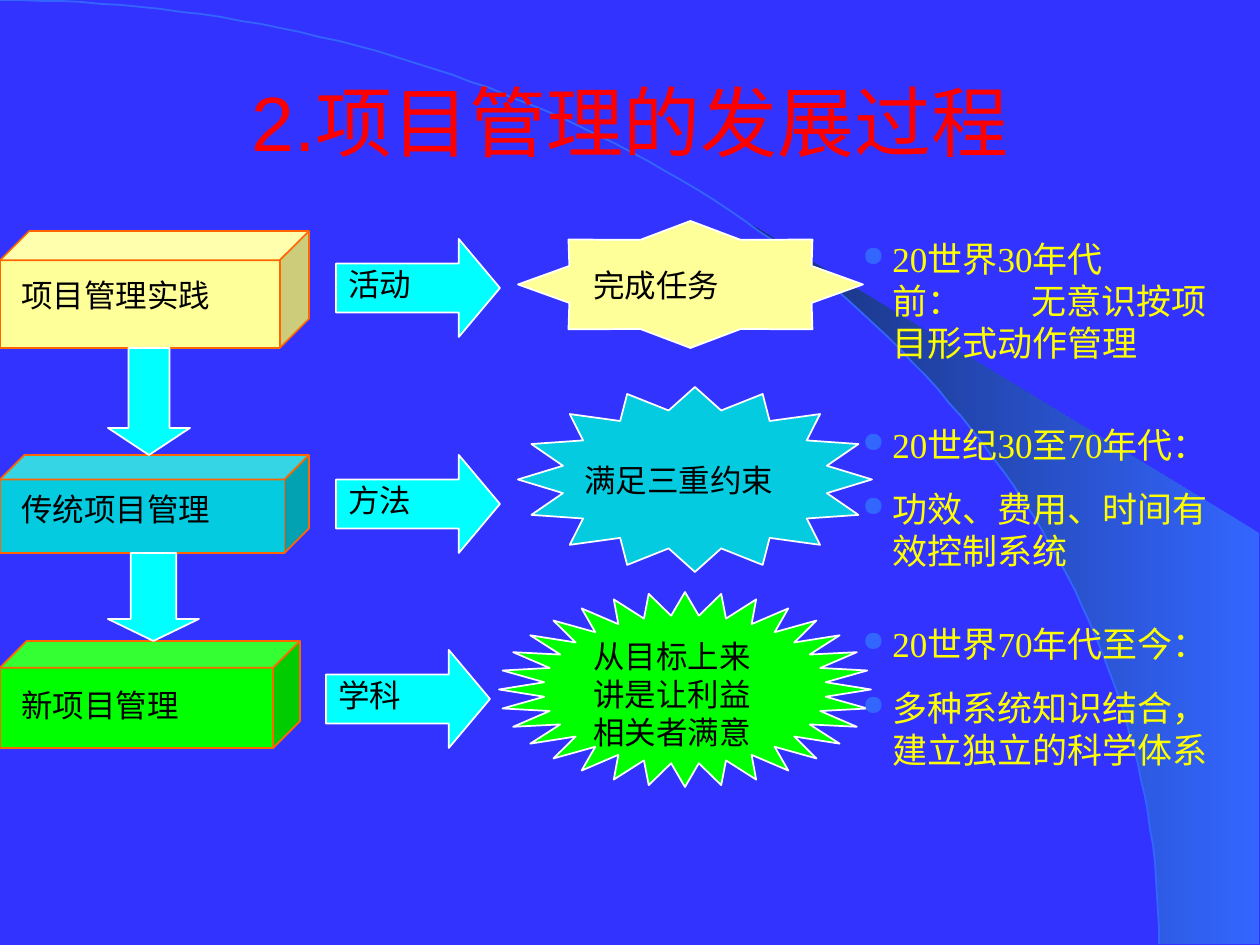
from math import cos, pi, sin

from lxml.etree import SubElement
from pptx import Presentation
from pptx.dml.color import RGBColor
from pptx.enum.shapes import MSO_SHAPE as Shape
from pptx.enum.text import MSO_ANCHOR as Anchor, MSO_AUTO_SIZE as AutoSize, PP_ALIGN as Align
from pptx.oxml.ns import qn
from pptx.util import Pt

PX = 914400 / 126
COLORS = {
    "background": "3333FF", "arc": "3366FF", "shade": "172F75", "title": "FF0000",
    "yellow": "FFFF99", "teal": "04CBE0", "green": "00FF00", "cyan": "00FFFF",
    "edge": "FF6600", "white": "FFFFFF", "black": "000000", "notes": "FFFF00",
}
TITLE = "2.项目管理的发展过程"
LABEL = {"size": 18, "name": "Times New Roman", "color": "black"}
TITLE_FORMAT = {"size": 44, "name": "Arial", "color": "title"}
NOTE = {"size": 20, "name": "Times New Roman", "color": "notes"}

# Boxes are (left, top, width, height) in px
STAGES = [
    {"fill": "yellow", "cube": (0, 231, 309, 117), "name": ("项目管理实践", (9, 270, 263, 50)),
     "arrow": (336, 239), "means": "活动", "star": (Shape.STAR_8_POINT, (518, 221, 345, 127)),
     "goal": ("完成任务", (581, 260, 227, 50))},
    {"fill": "teal", "cube": (0, 455, 309, 98), "name": ("传统项目管理", (9, 484, 263, 50)),
     "arrow": (336, 455), "means": "方法", "star": (Shape.STAR_16_POINT, (518, 387, 354, 185)),
     "goal": ("满足三重约束", (572, 455, 272, 50))},
    {"fill": "green", "cube": (0, 641, 300, 107), "name": ("新项目管理", (9, 680, 263, 50)),
     "arrow": (326, 650), "means": "学科", "star": (Shape.STAR_32_POINT, (499, 592, 372, 195)),
     "goal": ("从目标上来讲是让利益相关者满意", (581, 631, 209, 126))},
]
DOWN_ARROWS = [((108, 348, 82, 107), 0.33), ((108, 553, 91, 88), 0.25)]
# (text, space before in points)
NOTES = [
    ("20世界30年代\v前：\t无意识按项目形式动作管理", 0),
    ("20世纪30至70年代：", 34.3),
    ("功效、费用、时间有效控制系统", 12.5),
    ("20世界70年代至今：", 29.1),
    ("多种系统知识结合，建立独立的科学体系", 12.5),
]
NOTES_BOX = (850, 231, 378, 546)
NOTE_INDENT, NOTE_TAB = 30, 169
ARC_WIDTH, ARC_HEIGHT, ARC_STEPS = 1159, 944, 90
SHADE_START, SHADE_CORNERS = 742, [(1259, 944), (1259, 533)]


def emu(pixels):
    return round(pixels * PX)


def color(name):
    return RGBColor.from_string(COLORS[name])


def set_line(shape, name):
    shape.shadow.inherit = False
    shape.line.color.rgb = color(name)
    shape.line.width = Pt(1)


def add_preset(slide, kind, box, fill, line, adjustments):
    shape = slide.shapes.add_shape(kind, *map(emu, box))
    for index, value in enumerate(adjustments):
        shape.adjustments[index] = value
    shape.fill.solid()
    shape.fill.fore_color.rgb = color(fill)
    set_line(shape, line)


def format_paragraph(paragraph, formats):
    for run in paragraph.runs:
        run.font.size = Pt(formats["size"])
        run.font.name = formats["name"]
        run.font.color.rgb = color(formats["color"])


def add_text(slide, text, box, formats, **frame_formats):
    frame = slide.shapes.add_textbox(*map(emu, box)).text_frame
    frame_formats = {"word_wrap": True, "auto_size": AutoSize.SHAPE_TO_FIT_TEXT, **frame_formats}
    for name, value in frame_formats.items():
        setattr(frame, name, value)
    paragraph = frame.paragraphs[0]
    paragraph.text = text
    format_paragraph(paragraph, formats)
    return frame


def add_bullet(paragraph):
    """Give the paragraph a hanging round bullet and one tab stop."""
    properties = paragraph._p.get_or_add_pPr()
    properties.set("marL", str(emu(NOTE_INDENT)))
    properties.set("indent", str(-emu(NOTE_INDENT)))
    bullet_color = SubElement(properties, qn("a:buClr"))
    SubElement(bullet_color, qn("a:srgbClr"), val=COLORS["arc"])
    SubElement(properties, qn("a:buSzPct"), val="80000")
    SubElement(properties, qn("a:buChar"), char="●")
    tabs = SubElement(properties, qn("a:tabLst"))
    SubElement(tabs, qn("a:tab"), pos=str(emu(NOTE_TAB)), algn="l")


def add_outline(slide, points, close):
    builder = slide.shapes.build_freeform(*points[0], scale=PX)
    builder.add_line_segments(points[1:], close=close)
    shape = builder.convert_to_shape()
    set_line(shape, "arc")
    return shape


def add_backdrop(slide):
    slide.background.fill.solid()
    slide.background.fill.fore_color.rgb = color("background")
    angles = [step * pi / 2 / ARC_STEPS for step in range(ARC_STEPS + 1)]
    arc = [(round(ARC_WIDTH * sin(a)), round(ARC_HEIGHT * (1 - cos(a)))) for a in angles]

    shade = add_outline(slide, [p for p in arc if p[0] >= SHADE_START] + SHADE_CORNERS, True)
    shade.line.fill.background()
    shade.fill.gradient()
    shade.fill.gradient_angle = 180
    for stop, position, name in zip(shade.fill.gradient_stops, (0, 1), ("arc", "shade")):
        stop.position = position
        stop.color.rgb = color(name)

    add_outline(slide, arc, False).fill.background()


def add_stage(slide, stage):
    add_preset(slide, Shape.CUBE, stage["cube"], stage["fill"], "edge", [0.25])
    left, top = stage["arrow"]
    add_preset(slide, Shape.RIGHT_ARROW, (left, top, 164, 98), "cyan", "white", [0.5, 0.42])
    kind, box = stage["star"]
    add_preset(slide, kind, box, stage["fill"], "white", [0.38])
    means = (stage["means"], (left, top + 20, 127, 50))
    for text, label_box in (stage["name"], means, stage["goal"]):
        add_text(slide, text, label_box, LABEL)


def add_notes(slide):
    frame = add_text(slide, NOTES[0][0], NOTES_BOX, NOTE)
    add_bullet(frame.paragraphs[0])
    for text, space in NOTES[1:]:
        paragraph = frame.add_paragraph()
        paragraph.text = text
        paragraph.space_before = Pt(space)
        add_bullet(paragraph)
        format_paragraph(paragraph, NOTE)


def main():
    presentation = Presentation()
    presentation.slide_width, presentation.slide_height = emu(1260), emu(945)
    slide = presentation.slides.add_slide(presentation.slide_layouts[6])
    add_backdrop(slide)
    title = add_text(slide, TITLE, (95, 42, 1071, 157), TITLE_FORMAT,
                     auto_size=AutoSize.NONE, vertical_anchor=Anchor.MIDDLE)
    title.paragraphs[0].alignment = Align.CENTER
    for stage in STAGES:
        add_stage(slide, stage)
    for box, head in DOWN_ARROWS:
        add_preset(slide, Shape.DOWN_ARROW, box, "cyan", "white", [0.5, head])
    add_notes(slide)
    presentation.save("out.pptx")


if __name__ == "__main__":
    main()
